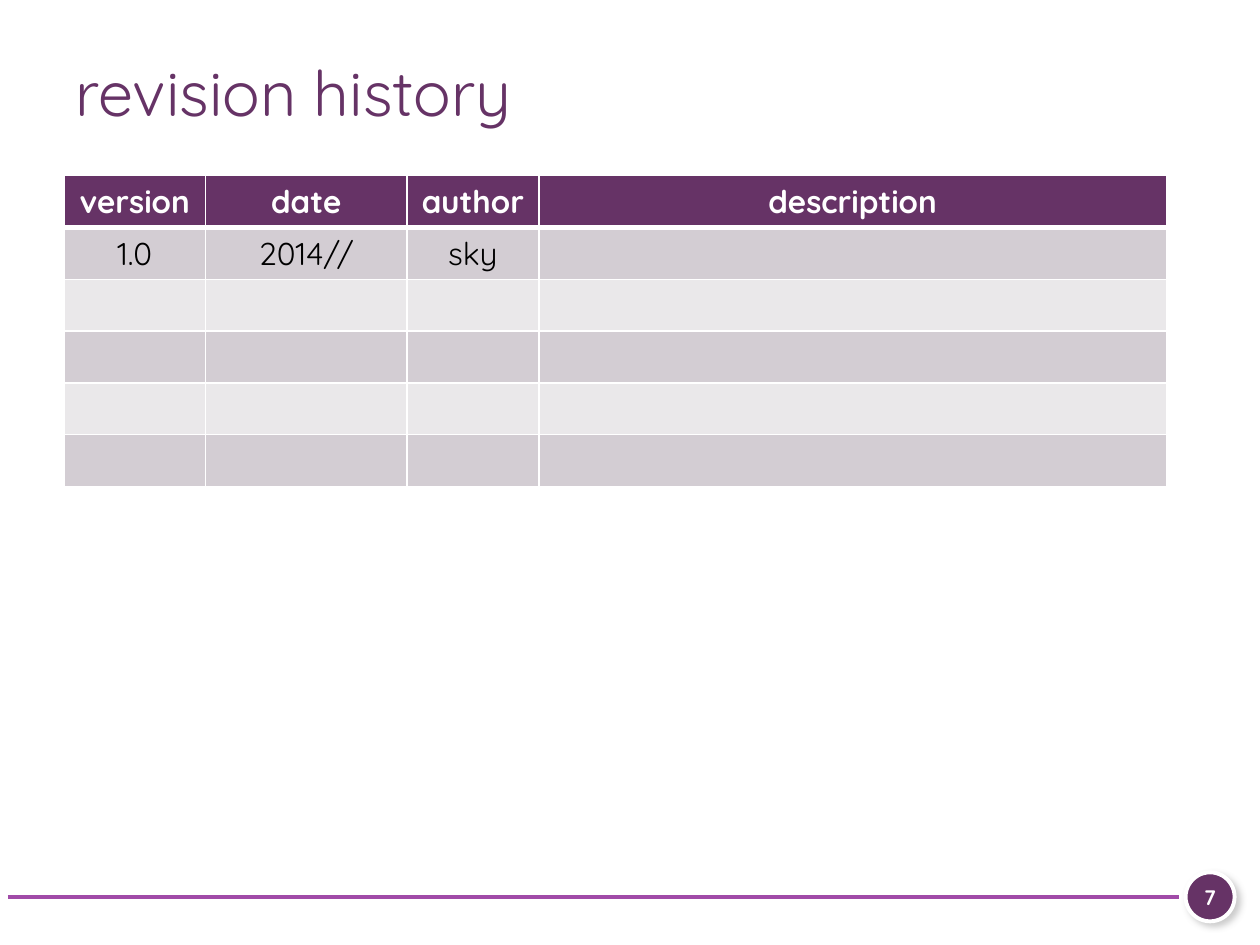
import pptx
import pptx.util
import pptx.dml.color
import pptx.enum.shapes
import pptx.enum.text
import pptx.oxml
import pptx.oxml.ns

Pt = pptx.util.Pt
RGB = pptx.dml.color.RGBColor.from_string
PP_ALIGN = pptx.enum.text.PP_ALIGN
ANCHOR = pptx.enum.text.MSO_ANCHOR
NS = pptx.oxml.ns.nsdecls("a")

THEME = {
    "font": "Quicksand",
    "plum": "663366",
    "rule": "A14BA8",
    "white": "FFFFFF",
    "black": "000000",
    "shadow": "808080",
    "bands": ["D3CDD3", "EAE8EA"],
    "title_size": 36,
    "table_size": 18,
    "number_size": 12,
}


def add_text(tf, text, size, color, bold=False, align=PP_ALIGN.CENTER):
    p = tf.paragraphs[0]
    p.alignment = align
    r = p.add_run()
    r.text = text
    r.font.name = THEME["font"]
    r.font.size = Pt(size)
    r.font.bold = bold
    r.font.color.rgb = RGB(color)


def set_borders(cell, widths):
    tcPr = cell._tc.get_or_add_tcPr()
    for i, (side, width) in enumerate(widths.items()):
        tcPr.insert(i, pptx.oxml.parse_xml(
            f'<a:ln{side} {NS} w="{Pt(width)}"><a:solidFill>'
            f'<a:srgbClr val="{THEME["white"]}"/></a:solidFill></a:ln{side}>'))


prs = pptx.Presentation()
prs.slide_width, prs.slide_height = Pt(720), Pt(540)
s = prs.slides.add_slide(prs.slide_layouts[6])

rule = s.shapes.add_connector(pptx.enum.shapes.MSO_CONNECTOR.STRAIGHT,
                              Pt(4.5), Pt(512.7), Pt(673.9), Pt(512.7))
rule.line.color.rgb = RGB(THEME["rule"])
rule.line.width = Pt(2)
rule._element.spPr.append(pptx.oxml.parse_xml(f"<a:effectLst {NS}/>"))

badge = s.shapes.add_shape(pptx.enum.shapes.MSO_SHAPE.OVAL,
                           Pt(677.5), Pt(498.5), Pt(28), Pt(28))
badge.fill.solid()
badge.fill.fore_color.rgb = RGB(THEME["plum"])
badge.line.color.rgb = RGB(THEME["white"])
badge.line.width = Pt(2.25)
badge._element.spPr.append(pptx.oxml.parse_xml(
    f'<a:effectLst {NS}><a:outerShdw blurRad="{Pt(4)}" dist="{Pt(3)}" dir="2700000" '
    f'algn="tl" rotWithShape="0"><a:srgbClr val="{THEME["shadow"]}">'
    f'<a:alpha val="40000"/></a:srgbClr></a:outerShdw></a:effectLst>'))
tf = badge.text_frame
tf.margin_left = tf.margin_right = tf.margin_top = tf.margin_bottom = 0
tf.vertical_anchor = ANCHOR.MIDDLE
tf.word_wrap = False
add_text(tf, "7", THEME["number_size"], THEME["white"], bold=True)

title = s.shapes.add_textbox(Pt(36), Pt(21.6), Pt(648), Pt(61.2))
tf = title.text_frame
tf.word_wrap = True
tf.vertical_anchor = ANCHOR.MIDDLE
add_text(tf, "revision history", THEME["title_size"], THEME["plum"], align=PP_ALIGN.LEFT)

rows = [["version", "date", "author", "description"], ["1.0", "2014//", "sky", ""]]
rows += [[""] * 4 for _ in range(4)]
col_widths = [81, 115, 75.5, 358.5]
row_height = 29.6
table = s.shapes.add_table(len(rows), len(col_widths), Pt(36.5), Pt(100.4),
                           Pt(sum(col_widths)), Pt(row_height * len(rows))).table
for column, width in zip(table.columns, col_widths):
    column.width = Pt(width)

for i, texts in enumerate(rows):
    table.rows[i].height = Pt(row_height)
    header = i == 0
    for j, text in enumerate(texts):
        cell = table.cell(i, j)
        cell.fill.solid()
        cell.fill.fore_color.rgb = RGB(THEME["plum"] if header else THEME["bands"][(i - 1) % 2])
        set_borders(cell, {"L": 1, "R": 1, "T": 3 if i == 1 else 1, "B": 3 if header else 1})
        if text:
            add_text(cell.text_frame, text, THEME["table_size"],
                     THEME["white"] if header else THEME["black"], bold=header)

prs.save("out.pptx")
